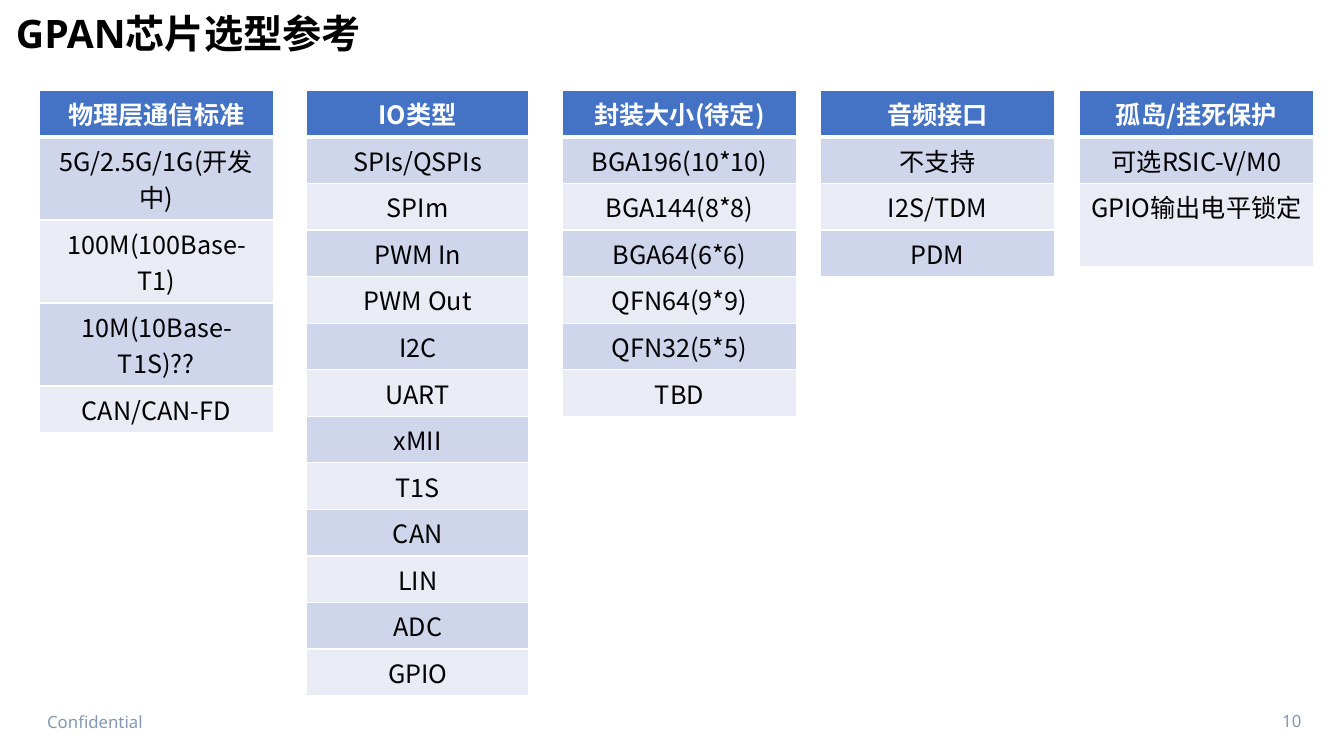
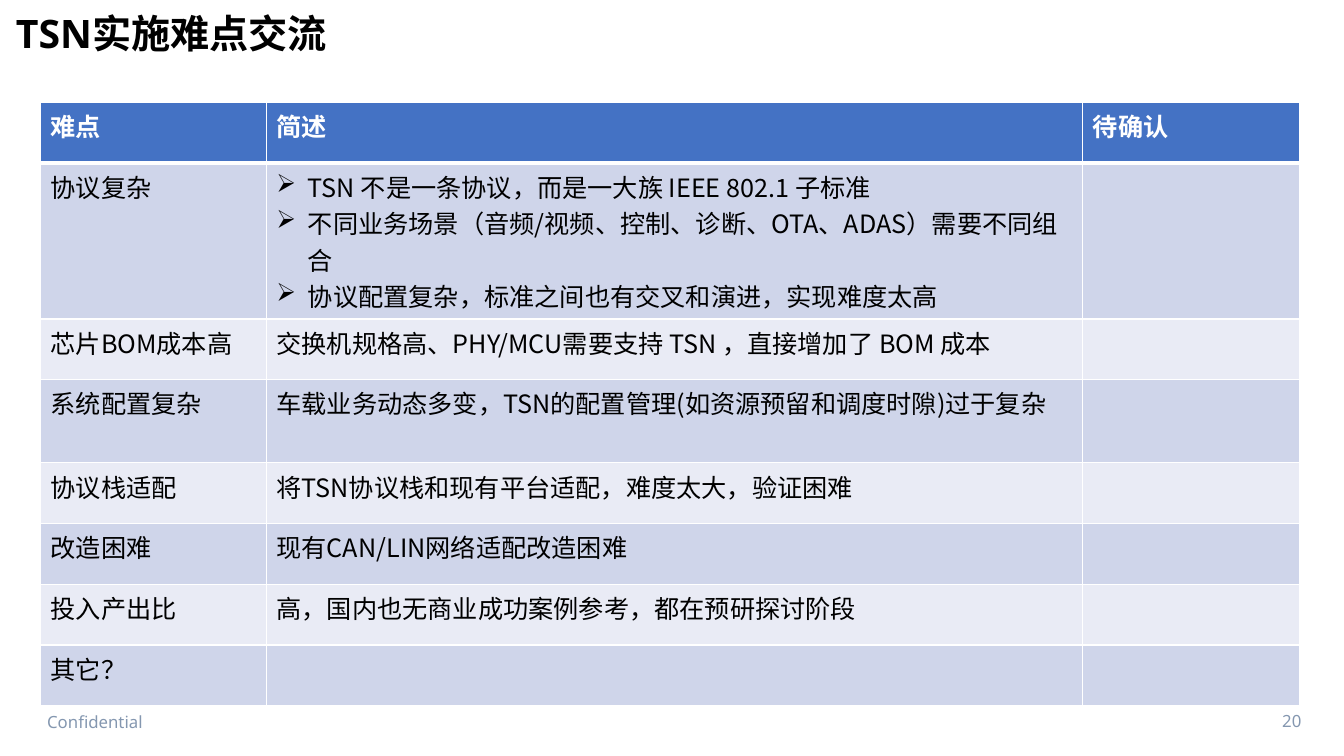
import dataclasses

import lxml.etree
import pptx
import pptx.dml.color
import pptx.enum.text
import pptx.oxml.ns
import pptx.util

Pt = pptx.util.Pt
qn = pptx.oxml.ns.qn
ALIGN = pptx.enum.text.PP_ALIGN
ANCHOR = pptx.enum.text.MSO_ANCHOR


@dataclasses.dataclass(frozen=True)
class Theme:
    header_fill: str = "4472C4"
    odd_fill: str = "CFD5EA"
    even_fill: str = "E9EBF5"
    white: str = "FFFFFF"
    ink: str = "000000"
    footer_ink: str = "8497B0"
    latin_font: str = "Noto Sans"
    chinese_font: str = "Noto Sans CJK SC"
    bullet_font: str = "OpenSymbol"
    title_size: float = 28
    table_size: float = 18
    footer_size: float = 12
    thin_line: float = 1
    thick_line: float = 3
    bullet: str = "➢"
    bullet_indent: float = 22.5
    line_height: float = 26.06
    cell_margins: float = 7.2


THEME = Theme()

CHIP_TOP = 64.6
CHIP_OPTIONS = [
    (28.1, 167, ["物理层通信标准", "5G/2.5G/1G(开发中)", "100M(100Base-T1)",
                 "10M(10Base-T1S)??", "CAN/CAN-FD"]),
    (218.9, 159, ["IO类型", "SPIs/QSPIs", "SPIm", "PWM In", "PWM Out", "I2C", "UART",
                  "xMII", "T1S", "CAN", "LIN", "ADC", "GPIO"]),
    (401.8, 167, ["封装大小(待定)", "BGA196(10*10)", "BGA144(8*8)", "BGA64(6*6)",
                  "QFN64(9*9)", "QFN32(5*5)", "TBD"]),
    (586.1, 167, ["音频接口", "不支持", "I2S/TDM", "PDM"]),
    (771.1, 167, ["孤岛/挂死保护", "可选RSIC-V/M0", "GPIO输出电平锁定"]),
]
TWO_LINE_OPTIONS = {"5G/2.5G/1G(开发中)", "100M(100Base-T1)", "10M(10Base-T1S)??",
                    "GPIO输出电平锁定"}

DIFFICULTY_WIDTHS = [161.3, 583.2, 154.8]
DIFFICULTY_ROW = 43.4
DIFFICULTY_LINES = [1, 4, 1, 2, 1, 1, 1, 1]
DIFFICULTIES = [
    ["难点", "简述", "待确认"],
    ["协议复杂", [
        "TSN 不是一条协议，而是一大族 IEEE 802.1 子标准",
        "不同业务场景（音频/视频、控制、诊断、OTA、ADAS）需要不同组合",
        "协议配置复杂，标准之间也有交叉和演进，实现难度太高",
    ], ""],
    ["芯片BOM成本高", "交换机规格高、PHY/MCU需要支持 TSN ，直接增加了 BOM 成本", ""],
    ["系统配置复杂", "车载业务动态多变，TSN的配置管理(如资源预留和调度时隙)过于复杂", ""],
    ["协议栈适配", "将TSN协议栈和现有平台适配，难度太大，验证困难", ""],
    ["改造困难", "现有CAN/LIN网络适配改造困难", ""],
    ["投入产出比", "高，国内也无商业成功案例参考，都在预研探讨阶段", ""],
    ["其它？", "", ""],
]


def rgb(color):
    return pptx.dml.color.RGBColor.from_string(color)


def row_height(lines):
    return lines * THEME.line_height + THEME.cell_margins


def write(para, text, *, size, color, font=THEME.latin_font, bold=False,
          align=ALIGN.LEFT, spacing=None, bullet=False):
    para.alignment = align
    if spacing:
        para.line_spacing = spacing
    if bullet:
        properties = para._p.get_or_add_pPr()
        properties.set("marL", str(Pt(THEME.bullet_indent)))
        properties.set("indent", str(-Pt(THEME.bullet_indent)))
        lxml.etree.SubElement(properties, qn("a:buFont"), typeface=THEME.bullet_font)
        lxml.etree.SubElement(properties, qn("a:buChar"), char=THEME.bullet)
    if not text:
        para.font.size = Pt(size)
        return
    span = para.add_run()
    span.text = text
    span.font.size = Pt(size)
    span.font.bold = bold
    span.font.color.rgb = rgb(color)
    span.font.name = font
    lxml.etree.SubElement(span._r.get_or_add_rPr(), qn("a:ea"), typeface=THEME.chinese_font)


def add_text(page, text, left, top, width, height, *, anchor=ANCHOR.TOP, **text_format):
    box = page.shapes.add_textbox(Pt(left), Pt(top), Pt(width), Pt(height))
    frame = box.text_frame
    frame.word_wrap = True
    frame.vertical_anchor = anchor
    write(frame.paragraphs[0], text, **text_format)


def set_borders(cell, top, bottom):
    properties = cell._tc.get_or_add_tcPr()
    widths = {"lnL": THEME.thin_line, "lnR": THEME.thin_line, "lnT": top, "lnB": bottom}
    for side, width in widths.items():
        line = lxml.etree.SubElement(properties, qn(f"a:{side}"), w=str(Pt(width)))
        fill = lxml.etree.SubElement(line, qn("a:solidFill"))
        lxml.etree.SubElement(fill, qn("a:srgbClr"), val=THEME.white)


def fill_cell(cell, content, row, align):
    header = row == 0
    set_borders(cell,
                top=THEME.thick_line if row == 1 else THEME.thin_line,
                bottom=THEME.thick_line if header else THEME.thin_line)
    band = THEME.odd_fill if row % 2 else THEME.even_fill
    cell.fill.solid()
    cell.fill.fore_color.rgb = rgb(THEME.header_fill if header else band)
    bullet = isinstance(content, list)
    frame = cell.text_frame
    for index, text in enumerate(content if bullet else [content]):
        para = frame.add_paragraph() if index else frame.paragraphs[0]
        write(para, text, size=THEME.table_size, font=THEME.chinese_font, bold=header,
              color=THEME.white if header else THEME.ink, align=align, bullet=bullet)


def add_grid(page, rows, left, top, widths, heights, align=ALIGN.LEFT):
    frame = page.shapes.add_table(len(rows), len(widths), Pt(left), Pt(top),
                                  Pt(sum(widths)), Pt(sum(heights)))
    table = frame.table
    table.horz_banding = False
    for column, width in zip(table.columns, widths):
        column.width = Pt(width)
    for row, (contents, height) in enumerate(zip(rows, heights)):
        table.rows[row].height = Pt(height)
        for column, content in enumerate(contents):
            fill_cell(table.cell(row, column), content, row, align)


def add_page(deck, title, number):
    page = deck.slides.add_slide(deck.slide_layouts[6])
    footer = {"size": THEME.footer_size, "color": THEME.footer_ink}
    add_text(page, "Confidential", 26.6, 504.7, 193, 21.6, **footer)
    add_text(page, str(number), 895.7, 500.4, 41, 28.8,
             anchor=ANCHOR.MIDDLE, align=ALIGN.RIGHT, **footer)
    add_text(page, title, 4.3, 7.2, 877.7, 44.6, size=THEME.title_size,
             color=THEME.ink, bold=True, spacing=0.9)
    return page


def add_chip_page(deck):
    page = add_page(deck, "GPAN芯片选型参考", 10)
    for left, width, options in CHIP_OPTIONS:
        heights = [row_height(2 if option in TWO_LINE_OPTIONS else 1) for option in options]
        add_grid(page, [[option] for option in options], left, CHIP_TOP, [width],
                 heights, align=ALIGN.CENTER)


def add_difficulty_page(deck):
    page = add_page(deck, "TSN实施难点交流", 20)
    heights = [max(DIFFICULTY_ROW, row_height(lines)) for lines in DIFFICULTY_LINES]
    add_grid(page, DIFFICULTIES, 29, 73, DIFFICULTY_WIDTHS, heights)


def main():
    deck = pptx.Presentation()
    deck.slide_width = Pt(960)
    deck.slide_height = Pt(540)
    add_chip_page(deck)
    add_difficulty_page(deck)
    deck.save("out.pptx")


if __name__ == "__main__":
    main()
